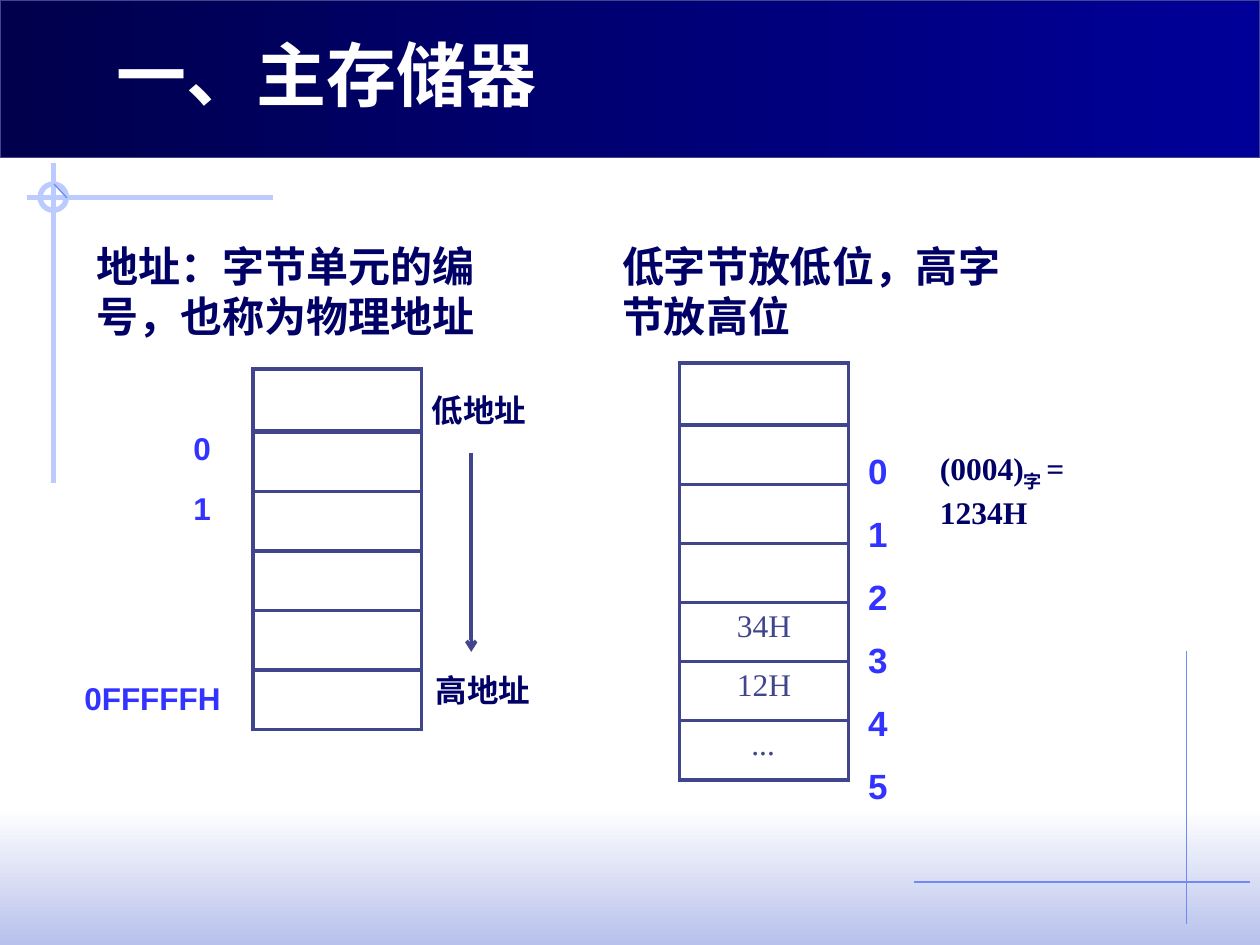
"""Build the main memory slide with its address diagrams."""
from lxml import etree
from pptx import Presentation
from pptx.dml.color import RGBColor
from pptx.enum.shapes import MSO_CONNECTOR, MSO_SHAPE
from pptx.enum.text import PP_ALIGN
from pptx.oxml.ns import qn
from pptx.util import Cm, Pt

STRAIGHT = MSO_CONNECTOR.STRAIGHT
RECTANGLE = MSO_SHAPE.RECTANGLE
OVAL = MSO_SHAPE.OVAL
CENTER = PP_ALIGN.CENTER

WHITE = RGBColor(0xFF, 0xFF, 0xFF)
NAVY = RGBColor(0x00, 0x00, 0x66)
BANNER_DARK = RGBColor(0x00, 0x00, 0x4D)
BANNER_LIGHT = RGBColor(0x00, 0x00, 0x99)
SLATE = RGBColor(0x40, 0x45, 0x8C)
BRIGHT_BLUE = RGBColor(0x33, 0x33, 0xFF)
PALE_BLUE = RGBColor(0xBB, 0xCB, 0xFD)
MID_BLUE = RGBColor(0x6F, 0x89, 0xF7)
MIST = RGBColor(0xB7, 0xC1, 0xEB)

SERIF = "Times New Roman"
SANS = "Arial"
CHINESE = "Noto Sans CJK JP"

deck = Presentation()
deck.slide_width, deck.slide_height = Cm(25.4), Cm(19.05)
page = deck.slides.add_slide(deck.slide_layouts[6])


def add_line(x1, y1, x2, y2, color, width):
    line = page.shapes.add_connector(STRAIGHT, Cm(x1), Cm(y1), Cm(x2), Cm(y2))
    line.line.color.rgb = color
    line.line.width = Pt(width)
    etree.SubElement(line._element.spPr, qn("a:effectLst"))
    return line


def add_text(x, y, width, height, runs, size, font, color, inset=True):
    box = page.shapes.add_textbox(Cm(x), Cm(y), Cm(width), Cm(height))
    frame = box.text_frame
    frame.word_wrap = True
    if not inset:
        frame.margin_left = frame.margin_right = 0
        frame.margin_top = frame.margin_bottom = 0
    para = frame.paragraphs[0]
    para.line_spacing = Pt(round(size * 1.2))
    for text, baseline in runs:
        span = para.add_run()
        span.text = text
        span.font.size = Pt(size)
        span.font.name = font
        span.font.bold = True
        span.font.color.rgb = color
        properties = span._r.get_or_add_rPr()
        etree.SubElement(properties, qn("a:ea"), typeface=CHINESE)
        if baseline:
            properties.set("baseline", str(baseline))


for top, height, angle, start, end in (
    (16.3, 2.75, 270, WHITE, MIST),
    (0, 3.18, 0, BANNER_DARK, BANNER_LIGHT),
):
    band = page.shapes.add_shape(RECTANGLE, 0, Cm(top), Cm(25.4), Cm(height))
    band.shadow.inherit = False
    band.fill.gradient()
    band.fill.gradient_angle = angle
    for stop, color in zip(band.fill.gradient_stops, (start, end)):
        stop.color.rgb = color
    if top:
        band.line.fill.background()
    else:
        band.line.color.rgb = SLATE
        band.line.width = Pt(0.75)

add_line(23.92, 13.13, 23.92, 18.62, MID_BLUE, 0.75)
add_line(18.42, 17.78, 25.2, 17.78, MID_BLUE, 0.75)
add_line(5.51, 3.98, 0.55, 3.98, PALE_BLUE, 3)
add_line(1.08, 3.29, 1.08, 9.73, PALE_BLUE, 3)
ring = page.shapes.add_shape(OVAL, Cm(0.81), Cm(3.71), Cm(0.53), Cm(0.53))
ring.shadow.inherit = False
ring.fill.background()
ring.line.color.rgb = PALE_BLUE
ring.line.width = Pt(3)
add_line(1.09, 3.71, 1.35, 3.99, MID_BLUE, 0.75)

for left, top, row_height, values in (
    (5.1, 7.44, 1.2, [""] * 6),
    (13.7, 7.32, 1.19, [""] * 4 + ["34H", "12H", "..."]),
):
    for index, value in enumerate(values):
        cell_top = top + row_height * index + (0.07 if index else 0)
        cell_height = row_height if index else 1.25
        unit = page.shapes.add_table(
            1, 1, Cm(left), Cm(cell_top), Cm(3.4), Cm(cell_height)
        ).table
        unit.first_row = unit.horz_banding = False
        cell = unit.cell(0, 0)
        properties = cell._tc.get_or_add_tcPr()
        for side in ("lnL", "lnR", "lnT", "lnB"):
            border = etree.SubElement(properties, qn(f"a:{side}"), w=str(Pt(2.25)))
            paint = etree.SubElement(border, qn("a:solidFill"))
            etree.SubElement(paint, qn("a:srgbClr"), val=str(SLATE))
        cell.fill.background()
        if value:
            para = cell.text_frame.paragraphs[0]
            para.alignment = CENTER
            span = para.add_run()
            span.text = value
            span.font.size = Pt(18)
            span.font.name = SERIF
            span.font.color.rgb = SLATE
            span.font.italic = value == "..."

for text, left, top, width, color in (
    ("0", 3.9, 8.64, 1.19, BRIGHT_BLUE),
    ("1", 3.9, 9.85, 1.19, BRIGHT_BLUE),
    ("0FFFFFH", 1.7, 13.67, 3.3, BRIGHT_BLUE),
    ("低地址", 8.7, 7.86, 2.4, NAVY),
    ("高地址", 8.79, 13.51, 2.4, NAVY),
):
    add_text(left, top, width, 0.76, [(text, 0)], 18, SANS, color, inset=False)

for address in range(6):
    add_text(17.5, 9.07 + 1.27 * address, 1.19, 0.85, [(str(address), 0)],
             20, SANS, BRIGHT_BLUE, inset=False)

arrow = add_line(9.5, 9.13, 9.5, 13.14, SLATE, 2)
etree.SubElement(arrow._element.spPr.find(qn("a:ln")), qn("a:tailEnd"), type="arrow")

add_text(18.7, 9.02, 3.81, 1.8, [("(0004)", 0), ("字 ", -25000), ("= 1234H", 0)],
         18, SERIF, NAVY)
add_text(12.29, 4.71, 8.69, 2.31, [("低字节放低位，高字节放高位", 0)], 24, SERIF, NAVY)
add_text(1.7, 4.71, 8.43, 2.31, [("地址：字节单元的编号，也称为物理地址", 0)], 24, SERIF, NAVY)
add_text(2.1, 0.52, 20.19, 1.96, [("一、主存储器", 0)], 40, CHINESE, WHITE)

deck.save("out.pptx")
